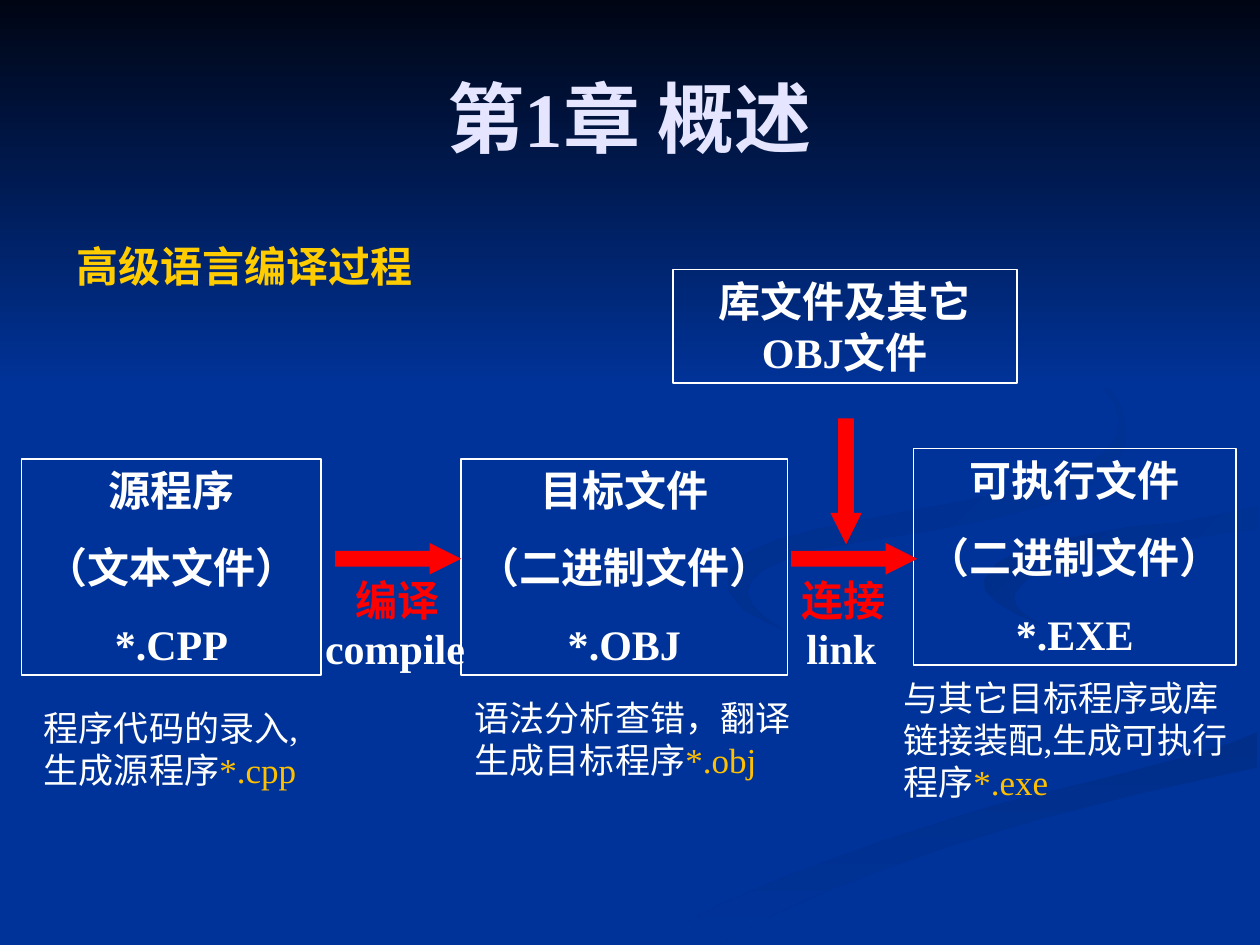
import pptx
import pptx.util
import pptx.dml.color
import pptx.enum.shapes
import pptx.enum.text
from dataclasses import dataclass

PX = 9144  # EMU per px, 100 px to the inch
SHAPE = pptx.enum.shapes.MSO_SHAPE
ALIGN = pptx.enum.text.PP_ALIGN


@dataclass(frozen=True)
class Theme:
    font: str = "Times New Roman"
    back: str = "003399"
    night: str = "000514"
    shade: str = "002E89"
    title: str = "E5E5FF"
    heading: str = "FFCC00"
    text: str = "FFFFFF"
    accent: str = "FF0000"
    suffix: str = "FFC000"
    title_size: int = 44
    label_size: int = 24
    note_size: int = 20
    gap: int = 15


T = Theme()

# Backdrop ribbons: outline points in px
SWEEP = [
    (519, 747), (503, 749), (571, 749), (587, 740), (614, 726), (649, 710), (695, 692),
    (752, 672), (821, 651), (903, 630), (998, 609), (998, 581), (976, 590), (936, 602),
    (867, 620), (797, 637), (764, 647), (696, 669), (630, 693), (569, 719),
]
HOOK = [
    (781, 460), (782, 469), (791, 478), (806, 487), (826, 496), (812, 487), (806, 480),
    (805, 472), (809, 466), (816, 459), (843, 448), (878, 439), (936, 429), (971, 423),
    (998, 420), (998, 402), (967, 409), (933, 415), (898, 418), (849, 427), (810, 437),
    (791, 447),
]
CURL = [
    (683, 430), (739, 421), (786, 412), (825, 402), (855, 391), (876, 378), (889, 362),
    (894, 344), (890, 324), (880, 307), (864, 291), (843, 275), (810, 256), (780, 241),
    (762, 233), (805, 254), (845, 279), (870, 299), (885, 320), (889, 335), (886, 348),
    (876, 360), (861, 370), (842, 378), (818, 386), (763, 398), (704, 409), (649, 420),
    (615, 429), (589, 441), (578, 456), (578, 468), (590, 484), (613, 496), (622, 500),
    (607, 490), (597, 480), (593, 470), (596, 461), (606, 452), (624, 444), (649, 436),
]


def rgb(color):
    return pptx.dml.color.RGBColor.from_string(color)


def emu(*lengths):
    return [n * PX for n in lengths]


def write(sp, lines, size, color, bold=True, align=ALIGN.LEFT, inset=(10, 5),
          gap=T.gap, spacing=None, wrap=True):
    """Fill a shape with paragraphs; a tuple line is (text, suffix)."""
    tf = sp.text_frame
    tf.word_wrap = wrap
    tf.auto_size = pptx.enum.text.MSO_AUTO_SIZE.SHAPE_TO_FIT_TEXT
    tf.vertical_anchor = pptx.enum.text.MSO_ANCHOR.TOP
    tf.margin_left = tf.margin_right = inset[0] * PX
    tf.margin_top = tf.margin_bottom = inset[1] * PX
    for i, line in enumerate(lines):
        p = tf.paragraphs[0] if i == 0 else tf.add_paragraph()
        p.alignment = align
        if i:
            p.space_before = pptx.util.Pt(gap)
        if spacing:
            p.line_spacing = spacing
        p.font.name, p.font.bold = T.font, bold
        p.font.size = pptx.util.Pt(size)
        p.font.color.rgb = rgb(color)
        text, *suffix = [line] if isinstance(line, str) else line
        p.add_run().text = text
        for part in suffix:
            r = p.add_run()
            r.text = part
            r.font.color.rgb = rgb(T.suffix)


def text_box(slide, box, lines, size=T.label_size, color=T.text, **style):
    write(slide.shapes.add_textbox(*emu(*box)), lines, size, color, **style)


def shade(sp, start, angle):
    """Gradient from start to the background colour, without outline."""
    sp.shadow.inherit = False
    sp.line.fill.background()
    sp.fill.gradient()
    sp.fill.gradient_angle = angle
    for stop, color in zip(sp.fill.gradient_stops, (start, T.back)):
        stop.color.rgb = rgb(color)


def backdrop(slide, box):
    fill = slide.background.fill
    fill.solid()
    fill.fore_color.rgb = rgb(T.back)
    left, top = box[:2]
    for points, angle in ((SWEEP, 270), (HOOK, 315), (CURL, 315)):
        points = [(left + x, top + y) for x, y in points]
        builder = slide.shapes.build_freeform(*points[0], scale=PX)
        builder.add_line_segments(points[1:], close=True)
        shade(builder.convert_to_shape(), T.shade, angle)
    sky = slide.shapes.add_shape(SHAPE.RECTANGLE, *emu(left, top, box[2], 308))
    shade(sky, T.night, 270)


def heading(slide, box):
    title = slide.shapes.title
    slide.shapes._spTree.append(title._element)  # bring in front of the backdrop
    title.left, title.top, title.width, title.height = emu(*box)
    tf = title.text_frame
    tf.text = "第1章 概述"
    tf.vertical_anchor = pptx.enum.text.MSO_ANCHOR.MIDDLE
    p = tf.paragraphs[0]
    p.alignment = ALIGN.CENTER
    p.font.name, p.font.bold = T.font, True
    p.font.size = pptx.util.Pt(T.title_size)
    p.font.color.rgb = rgb(T.title)


def file_box(slide, box, lines):
    sp = slide.shapes.add_shape(SHAPE.RECTANGLE, *emu(*box))
    sp.shadow.inherit = False
    sp.fill.background()
    sp.line.color.rgb = rgb(T.text)
    sp.line.width = pptx.util.Pt(1)
    write(sp, lines, T.label_size, T.text, align=ALIGN.CENTER)


def arrow(slide, kind, box):
    sp = slide.shapes.add_shape(kind, *emu(*box))
    sp.shadow.inherit = False
    sp.adjustments[0], sp.adjustments[1] = 0.5, 1
    sp.fill.solid()
    sp.fill.fore_color.rgb = rgb(T.accent)
    sp.line.fill.background()


def step(slide, box, label, label_dx, english, english_dx, english_w):
    """Red arrow with its name in two languages below."""
    left, top, width, height = box
    arrow(slide, SHAPE.RIGHT_ARROW, box)
    text_box(slide, (left + label_dx, top + height, 83, 40), [label], color=T.accent,
             align=ALIGN.CENTER, inset=(0, 0))
    text_box(slide, (left + english_dx, top + 58, english_w, 46), [english],
             inset=(2, 1), spacing=1.1)


def compile_flow(slide, box):
    left, top = box[:2]

    def at(x, y, w, h):
        return left + x, top + y, w, h

    # Files, each with the note below it
    stages = [
        (at(0, 150, 238, 172), ["源程序", "（文本文件）", "*.CPP"],
         at(8, 342, 229, 77), ["程序代码的录入,", ("生成源程序", "*.cpp")]),
        (at(349, 150, 259, 172), ["目标文件", "（二进制文件）", "*.OBJ"],
         at(350, 334, 271, 77), ["语法分析查错，翻译", ("生成目标程序", "*.obj")]),
        (at(708, 142, 256, 172), ["可执行文件", "（二进制文件）", "*.EXE"],
         at(690, 318, 291, 110),
         ["与其它目标程序或库", "链接装配,生成可执行", ("程序", "*.exe")]),
    ]
    for file_at, file_lines, note_at, note_lines in stages:
        file_box(slide, file_at, file_lines)
        text_box(slide, note_at, note_lines, T.note_size, bold=False, gap=0, wrap=False)
    file_box(slide, at(517, 0, 273, 90), ["库文件及其它OBJ文件"])

    # Steps between the files
    step(slide, at(249, 217, 100, 25), "编译", 8, "compile", -10, 133)
    step(slide, at(611, 217, 100, 25), "连接", 0, "link", 10, 67)
    arrow(slide, SHAPE.DOWN_ARROW, at(642, 118, 25, 100))


def main():
    prs = pptx.Presentation()
    prs.slide_width, prs.slide_height = emu(1000, 750)
    slide = prs.slides.add_slide(prs.slide_layouts[5])
    backdrop(slide, (0, 0, 1000, 750))
    heading(slide, (50, 30, 900, 125))
    text_box(slide, (51, 186, 346, 50), ["高级语言编译过程"], color=T.heading)
    compile_flow(slide, (17, 214, 981, 428))
    prs.save("out.pptx")


if __name__ == "__main__":
    main()
